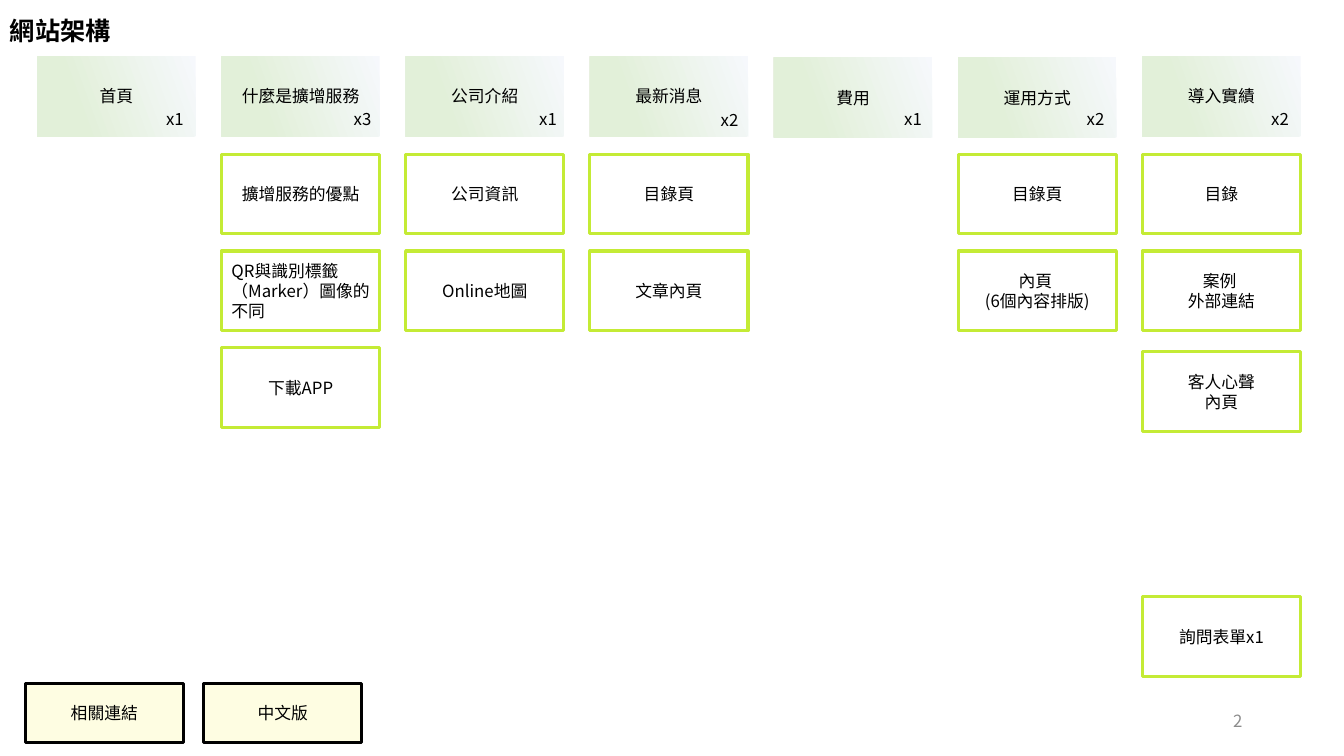
"""Build a one-page site map slide."""
from dataclasses import dataclass

from lxml import etree
from pptx import Presentation
from pptx import util as u
from pptx.dml.color import RGBColor
from pptx.enum import shapes, text
from pptx.oxml.ns import qn


@dataclass(frozen=True)
class Theme:
    """Colours, font and type sizes of the slide."""
    font: str = "Noto Sans CJK SC"
    body: int = 12
    title: int = 18
    outline: float = 2.25
    ink: str = "000000"
    muted: str = "8C8C8C"
    page_fill: str = "FFFFFF"
    page_line: str = "C4EB35"
    link_fill: str = "FEFDE2"
    head_light: str = "F6F8FC"
    head_green: str = "E2F0D9"


@dataclass(frozen=True)
class Section:
    """A top-level section with its pages and page count."""
    name: str
    count: str
    count_left: float
    pages: tuple = ()
    top: float = 0.56
    count_top: float = 1.03


THEME = Theme()
ALIGN = text.PP_ALIGN
ANCHOR = text.MSO_ANCHOR
BOX_WIDTH, BOX_HEIGHT, LINK_HEIGHT = 1.57, 0.79, 0.59
FIRST_LEFT, LAST_LEFT = 0.37, 11.33
FIRST_TOP, ROW_STEP = 1.53, 0.96

SECTIONS = (
    Section("首頁", "x1", 1.55),
    Section("什麼是擴增服務", "x3", 3.41,
            ("擴增服務的優點", "QR與識別標籤（Marker）圖像的不同", "下載APP")),
    Section("公司介紹", "x1", 5.25, ("公司資訊", "Online地圖")),
    Section("最新消息", "x2", 7.05, ("目錄頁", "文章內頁"), count_top=1.04),
    Section("費用", "x1", 8.87, top=0.57),
    Section("運用方式", "x2", 10.68, ("目錄頁", "內頁 \n(6個內容排版)"), top=0.57),
    Section("導入實績", "x2", 12.51, ("目錄", "案例 \n外部連結")),
)
LEFT_ALIGNED = {"QR與識別標籤（Marker）圖像的不同"}
LINKS = (("相關連結", 0.25), ("中文版", 2.02))


def rgb(value):
    """Turn a hex string into a colour."""
    return RGBColor.from_string(value)


def write(shape, words, align, anchor, size=THEME.body, color=THEME.ink, bold=False):
    """Fill a shape with one paragraph per line of words."""
    frame = shape.text_frame
    frame.word_wrap = True
    frame.vertical_anchor = anchor
    for index, line in enumerate(words.split("\n")):
        para = frame.add_paragraph() if index else frame.paragraphs[0]
        para.alignment = align
        span = para.add_run()
        span.text = line
        span.font.size = u.Pt(size)
        span.font.bold = bold
        span.font.color.rgb = rgb(color)
        span.font.name = THEME.font
        etree.SubElement(span.font._element, qn("a:ea"), typeface=THEME.font)


def add_label(page, words, left, top, width, height, align=ALIGN.LEFT,
              anchor=ANCHOR.TOP, **style):
    """Add free text and return its box."""
    label = page.shapes.add_textbox(
        u.Inches(left), u.Inches(top), u.Inches(width), u.Inches(height))
    write(label, words, align, anchor, **style)
    return label


def add_box(page, words, left, top, height=BOX_HEIGHT):
    """Add a plain rectangle with its words in the middle."""
    box = page.shapes.add_shape(
        shapes.MSO_SHAPE.RECTANGLE, u.Inches(left), u.Inches(top),
        u.Inches(BOX_WIDTH), u.Inches(height))
    box.shadow.inherit = False
    align = ALIGN.LEFT if words in LEFT_ALIGNED else ALIGN.CENTER
    write(box, words, align, ANCHOR.MIDDLE)
    return box


def add_outlined_box(page, words, left, top, fill=THEME.page_fill,
                     line=THEME.page_line, height=BOX_HEIGHT):
    """Add a rectangle with a solid fill and a coloured outline."""
    box = add_box(page, words, left, top, height)
    box.fill.solid()
    box.fill.fore_color.rgb = rgb(fill)
    box.line.color.rgb = rgb(line)
    box.line.width = u.Pt(THEME.outline)


def add_header(page, section, left):
    """Add a section header with a gradient and its page count."""
    box = add_box(page, section.name, left, section.top)
    box.line.fill.background()
    box.fill.gradient()
    box.fill.gradient_angle = 200
    light, green = box.fill.gradient_stops
    light.color.rgb, light.position = rgb(THEME.head_light), 0
    green.color.rgb, green.position = rgb(THEME.head_green), 0.74
    add_label(page, section.count, section.count_left, section.count_top, 0.64, 0.3)


def main():
    """Build the deck and save it."""
    deck = Presentation()
    deck.slide_width, deck.slide_height = u.Inches(13.33), u.Inches(7.5)
    page = deck.slides.add_slide(deck.slide_layouts[6])

    title = add_label(page, "網站架構", 0, -0.04, 11.78, 0.72,
                      anchor=ANCHOR.MIDDLE, size=THEME.title, bold=True)
    title.text_frame.paragraphs[0].line_spacing = 0.9

    column_step = (LAST_LEFT - FIRST_LEFT) / (len(SECTIONS) - 1)
    for column, section in enumerate(SECTIONS):
        left = FIRST_LEFT + column * column_step
        add_header(page, section, left)
        for row, words in enumerate(section.pages):
            add_outlined_box(page, words, left, FIRST_TOP + row * ROW_STEP)

    for words, top in (("客人心聲\n內頁", 3.49), ("詢問表單x1", 5.92)):
        add_outlined_box(page, words, LAST_LEFT, top)
    for words, left in LINKS:
        add_outlined_box(page, words, left, 6.78, THEME.link_fill, THEME.ink, LINK_HEIGHT)

    add_label(page, "2", 9.42, 6.95, 3, 0.4, ALIGN.RIGHT, ANCHOR.MIDDLE,
              color=THEME.muted)
    deck.save("out.pptx")


if __name__ == "__main__":
    main()
